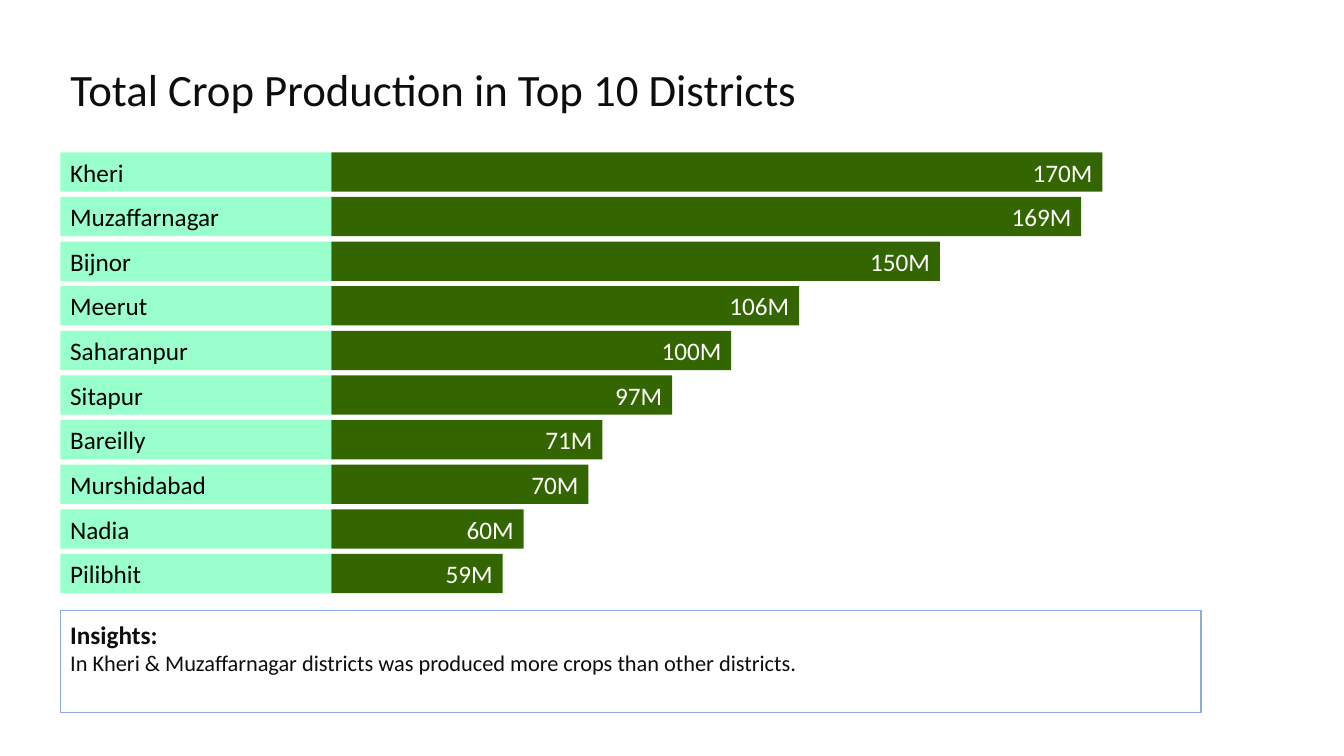
from dataclasses import dataclass

from pptx import Presentation
from pptx import util as u
from pptx.dml.color import RGBColor
from pptx.enum import shapes, text

MINT = RGBColor(0x99, 0xFF, 0xCC)
GREEN = RGBColor(0x33, 0x66, 0x00)
BLUE = RGBColor(0x8F, 0xAA, 0xDC)
WHITE = RGBColor(0xFF, 0xFF, 0xFF)
BLACK = RGBColor(0x00, 0x00, 0x00)
INK = RGBColor(0x0D, 0x0D, 0x0D)

LEFT = 1.52
NAME_W = 6.83
BAR_H = 0.99
FIRST = 3.84
LAST = 13.96


@dataclass
class Crop:
    name: str
    total: str
    width: float


CROPS = [
    Crop("Kheri", "170M", 19.43),
    Crop("Muzaffarnagar", "169M", 18.9),
    Crop("Bijnor", "150M", 15.34),
    Crop("Meerut", "106M", 11.79),
    Crop("Saharanpur", "100M", 10.08),
    Crop("Sitapur", "97M", 8.59),
    Crop("Bareilly", "71M", 6.83),
    Crop("Murshidabad", "70M", 6.48),
    Crop("Nadia", "60M", 4.85),
    Crop("Pilibhit", "59M", 4.32),
]


def style(para, size: int, color: RGBColor, bold: bool = False,
          align=text.PP_ALIGN.LEFT) -> None:
    para.alignment = align
    for run in para.runs:
        run.font.name = "Calibri"
        run.font.size = u.Pt(size)
        run.font.bold = bold
        run.font.color.rgb = color


def add_box(slide, left: float, top: float, width: float, height: float):
    box = slide.shapes.add_shape(
        shapes.MSO_SHAPE.RECTANGLE,
        u.Cm(left), u.Cm(top), u.Cm(width), u.Cm(height))
    box.shadow.inherit = False
    box.text_frame.word_wrap = True
    return box


def add_bar(slide, left: float, top: float, width: float, label: str,
            fill: RGBColor, color: RGBColor, align) -> None:
    bar = add_box(slide, left, top, width, BAR_H)
    bar.fill.solid()
    bar.fill.fore_color.rgb = fill
    bar.line.fill.background()
    frame = bar.text_frame
    frame.text = label
    frame.vertical_anchor = text.MSO_ANCHOR.MIDDLE
    style(frame.paragraphs[0], 18, color, align=align)


def add_title(slide) -> None:
    title = slide.shapes.title
    title.left, title.top = u.Cm(LEFT), u.Cm(1.3)
    title.width, title.height = u.Cm(26.26), u.Cm(1.85)
    frame = title.text_frame
    frame.text = "Total Crop Production in Top 10 Districts"
    frame.vertical_anchor = text.MSO_ANCHOR.MIDDLE
    style(frame.paragraphs[0], 32, INK)


def add_note(slide) -> None:
    note = add_box(slide, LEFT, 15.39, 28.75, 2.57)
    note.fill.background()
    note.line.color.rgb = BLUE
    note.line.width = u.Pt(1)
    frame = note.text_frame
    frame.vertical_anchor = text.MSO_ANCHOR.TOP
    frame.margin_top = u.Cm(0.21)
    frame.text = ("Insights:\nIn Kheri & Muzaffarnagar districts was produced "
                  "more crops than other districts.")
    head, body = frame.paragraphs
    style(head, 18, INK, bold=True)
    style(body, 16, INK)


def main() -> None:
    deck = Presentation()
    deck.slide_width, deck.slide_height = u.Cm(33.87), u.Cm(19.05)
    slide = deck.slides.add_slide(deck.slide_layouts[5])
    add_title(slide)
    add_note(slide)
    pitch = (LAST - FIRST) / (len(CROPS) - 1)
    for row, crop in enumerate(CROPS):
        top = FIRST + row * pitch
        add_bar(slide, LEFT, top, NAME_W, crop.name,
                MINT, BLACK, text.PP_ALIGN.LEFT)
        add_bar(slide, LEFT + NAME_W, top, crop.width, crop.total,
                GREEN, WHITE, text.PP_ALIGN.RIGHT)
    deck.save("out.pptx")


if __name__ == "__main__":
    main()
